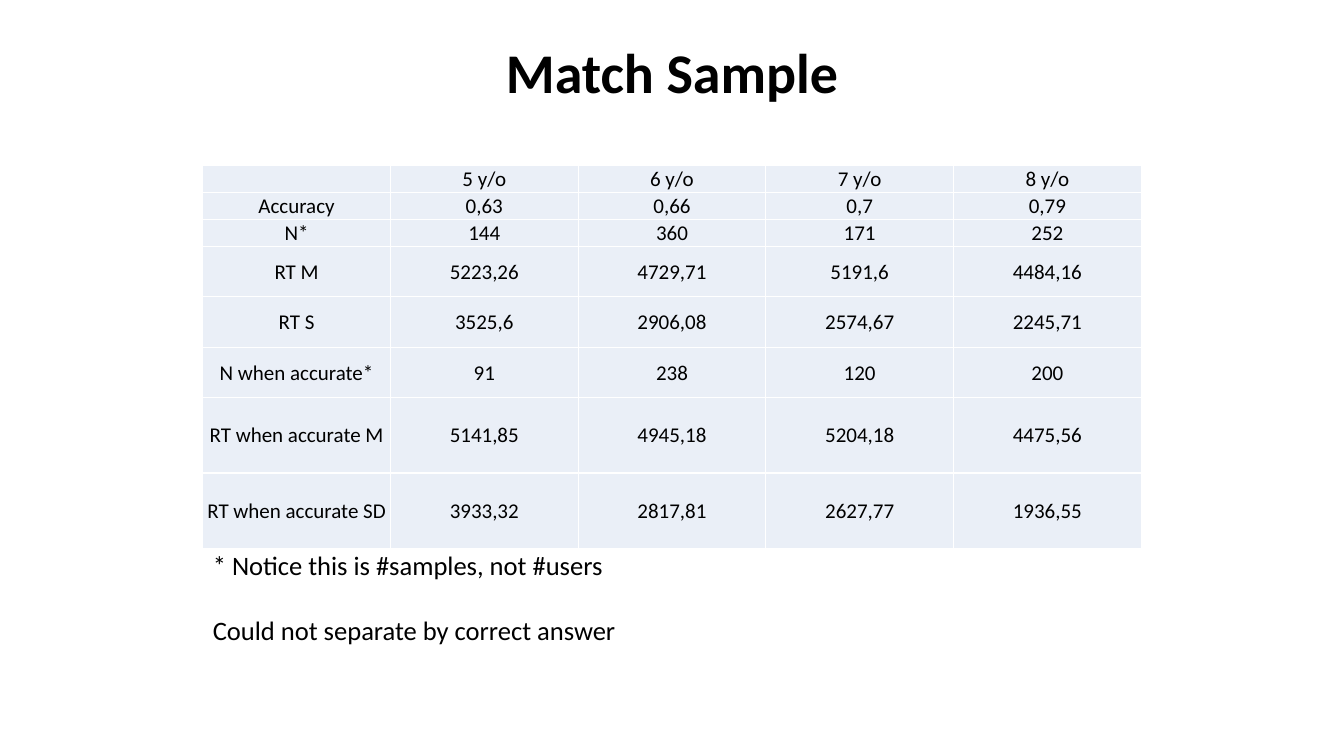
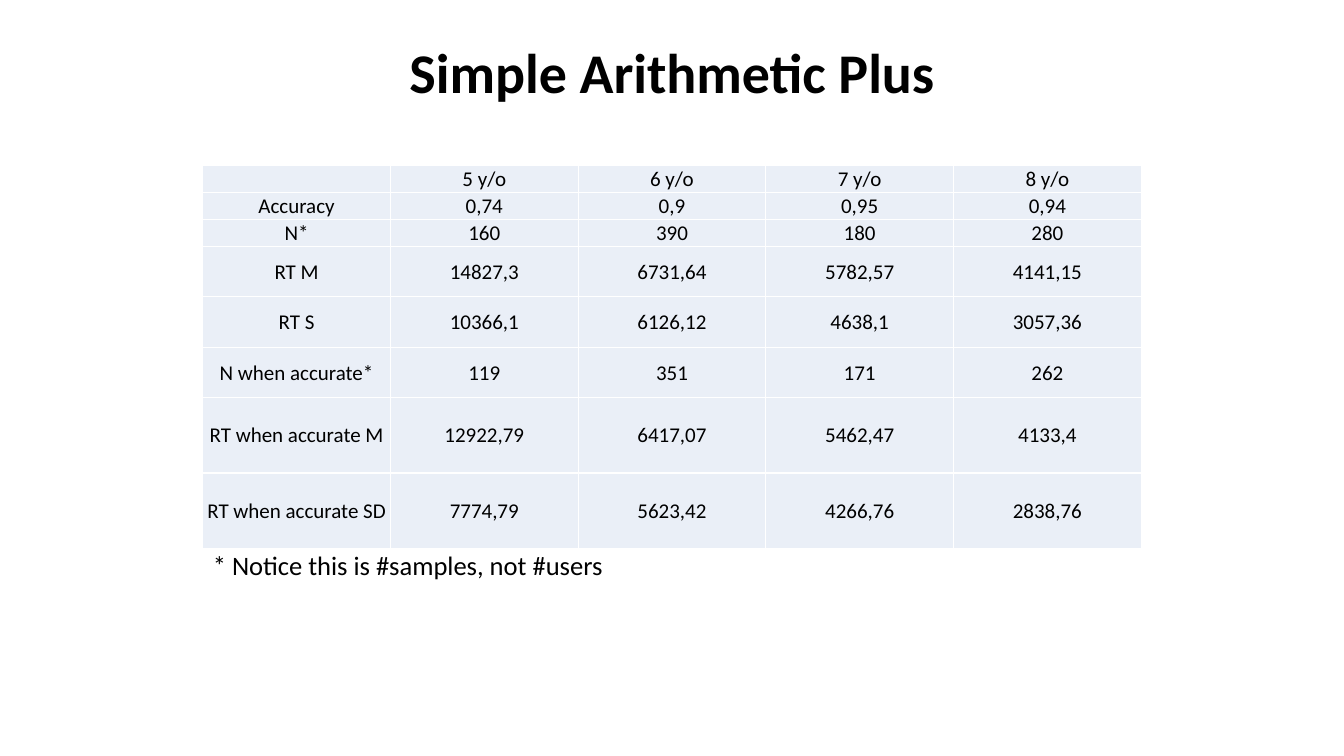
from dataclasses import dataclass

from lxml import etree
from pptx import Presentation
from pptx.dml.color import RGBColor
from pptx.enum.text import MSO_ANCHOR, MSO_AUTO_SIZE, PP_ALIGN
from pptx.oxml.ns import qn
from pptx.util import Cm, Pt

CENTER, LEFT = PP_ALIGN.CENTER, PP_ALIGN.LEFT
MIDDLE, TOP = MSO_ANCHOR.MIDDLE, MSO_ANCHOR.TOP
NO_FIT = MSO_AUTO_SIZE.NONE
TITLE_AND_CONTENT = 1


@dataclass(frozen=True)
class Theme:
    font: str = "Calibri"
    ink: str = "000000"
    cell: str = "EAEFF7"
    border: str = "FFFFFF"
    title_size: int = 40
    note_size: int = 19
    table_size: int = 15


THEME = Theme()

AGES = ["5 y/o", "6 y/o", "7 y/o", "8 y/o"]
MEASURES = [
    ("Accuracy", 0.67),
    ("N*", 0.67),
    ("RT M", 1.27),
    ("RT S", 1.27),
    ("N when accurate*", 1.27),
    ("RT when accurate M", 1.9),
    ("RT when accurate SD", 1.9),
]
SAMPLES_NOTE = "* Notice this is #samples, not #users"
PAGES = [
    {
        "title": "Match Sample",
        "title_width": 13.23,
        "notes": [SAMPLES_NOTE, "Could not separate by correct answer"],
        "values": [
            ["0,63", "0,66", "0,7", "0,79"],
            ["144", "360", "171", "252"],
            ["5223,26", "4729,71", "5191,6", "4484,16"],
            ["3525,6", "2906,08", "2574,67", "2245,71"],
            ["91", "238", "120", "200"],
            ["5141,85", "4945,18", "5204,18", "4475,56"],
            ["3933,32", "2817,81", "2627,77", "1936,55"],
        ],
    },
    {
        "title": "Simple Arithmetic Plus",
        "title_width": 16.41,
        "notes": [SAMPLES_NOTE],
        "values": [
            ["0,74", "0,9", "0,95", "0,94"],
            ["160", "390", "180", "280"],
            ["14827,3", "6731,64", "5782,57", "4141,15"],
            ["10366,1", "6126,12", "4638,1", "3057,36"],
            ["119", "351", "171", "262"],
            ["12922,79", "6417,07", "5462,47", "4133,4"],
            ["7774,79", "5623,42", "4266,76", "2838,76"],
        ],
    },
]

PAGE_WIDTH, PAGE_HEIGHT = 33.87, 19.05
TITLE_TOP, TITLE_HEIGHT = 0.81, 1.96
TABLE_LEFT, TABLE_TOP, COLUMN_WIDTH = 5.11, 4.17, 4.73
ROW_HEIGHTS = [0.67] + [height for _, height in MEASURES]
TABLE_HEIGHT = sum(ROW_HEIGHTS)
NOTE_WIDTH, NOTE_HEIGHT = 15.57, 2.97
NOTE_SPACING = [(0.9, 0), (1.6, 10)]


def write(paragraph, text, *, size, bold=False, align=LEFT, line=1.0, before=0):
    paragraph.alignment = align
    paragraph.line_spacing = line
    paragraph.space_before = Pt(before)
    if not text:
        etree.SubElement(paragraph._p, qn("a:endParaRPr"), sz=str(size * 100))
        return
    span = paragraph.add_run()
    span.text = text
    span.font.name = THEME.font
    span.font.size = Pt(size)
    span.font.bold = bold
    span.font.color.rgb = RGBColor.from_string(THEME.ink)


def place(box, left, top, width, height):
    box.left, box.top, box.width, box.height = map(Cm, (left, top, width, height))


def remove_bullet(paragraph):
    properties = paragraph._p.get_or_add_pPr()
    properties.set("marL", "0")
    properties.set("indent", "0")
    etree.SubElement(properties, qn("a:buNone"))


def add_borders(cell):
    properties = cell._tc.get_or_add_tcPr()
    for side in ("lnL", "lnR", "lnT", "lnB"):
        line = etree.SubElement(properties, qn(f"a:{side}"), w=str(Pt(1)))
        fill = etree.SubElement(line, qn("a:solidFill"))
        etree.SubElement(fill, qn("a:srgbClr"), val=THEME.border)


def add_title(page, text, width):
    box = page.shapes.title
    place(box, (PAGE_WIDTH - width) / 2, TITLE_TOP, width, TITLE_HEIGHT)
    frame = box.text_frame
    frame.auto_size = NO_FIT
    frame.vertical_anchor = MIDDLE
    write(frame.paragraphs[0], text, size=THEME.title_size, bold=True, align=CENTER)


def add_notes(page, notes):
    box = page.placeholders[1]
    place(box, TABLE_LEFT, TABLE_TOP + TABLE_HEIGHT, NOTE_WIDTH, NOTE_HEIGHT)
    frame = box.text_frame
    frame.auto_size = NO_FIT
    frame.vertical_anchor = TOP
    for index, (note, (line, before)) in enumerate(zip(notes, NOTE_SPACING)):
        paragraph = frame.add_paragraph() if index else frame.paragraphs[0]
        remove_bullet(paragraph)
        write(paragraph, note, size=THEME.note_size, line=line, before=before)


def format_cell(cell, text):
    cell.margin_left = cell.margin_right = cell.margin_top = Cm(0.03)
    cell.margin_bottom = 0
    cell.vertical_anchor = MIDDLE
    add_borders(cell)
    cell.fill.solid()
    cell.fill.fore_color.rgb = RGBColor.from_string(THEME.cell)
    write(cell.text_frame.paragraphs[0], text, size=THEME.table_size, align=CENTER)


def add_results(page, values):
    rows = [["", *AGES]]
    rows += [[name, *numbers] for (name, _), numbers in zip(MEASURES, values)]
    columns = len(rows[0])
    table = page.shapes.add_table(
        len(rows), columns, Cm(TABLE_LEFT), Cm(TABLE_TOP),
        Cm(columns * COLUMN_WIDTH), Cm(TABLE_HEIGHT),
    ).table
    table.first_row = table.horz_banding = False
    for column in table.columns:
        column.width = Cm(COLUMN_WIDTH)
    for row, height, texts in zip(table.rows, ROW_HEIGHTS, rows):
        row.height = Cm(height)
        for cell, text in zip(row.cells, texts):
            format_cell(cell, text)


def main():
    deck = Presentation()
    deck.slide_width, deck.slide_height = Cm(PAGE_WIDTH), Cm(PAGE_HEIGHT)
    for content in PAGES:
        page = deck.slides.add_slide(deck.slide_layouts[TITLE_AND_CONTENT])
        add_title(page, content["title"], content["title_width"])
        add_notes(page, content["notes"])
        add_results(page, content["values"])
    deck.save("out.pptx")


if __name__ == "__main__":
    main()
